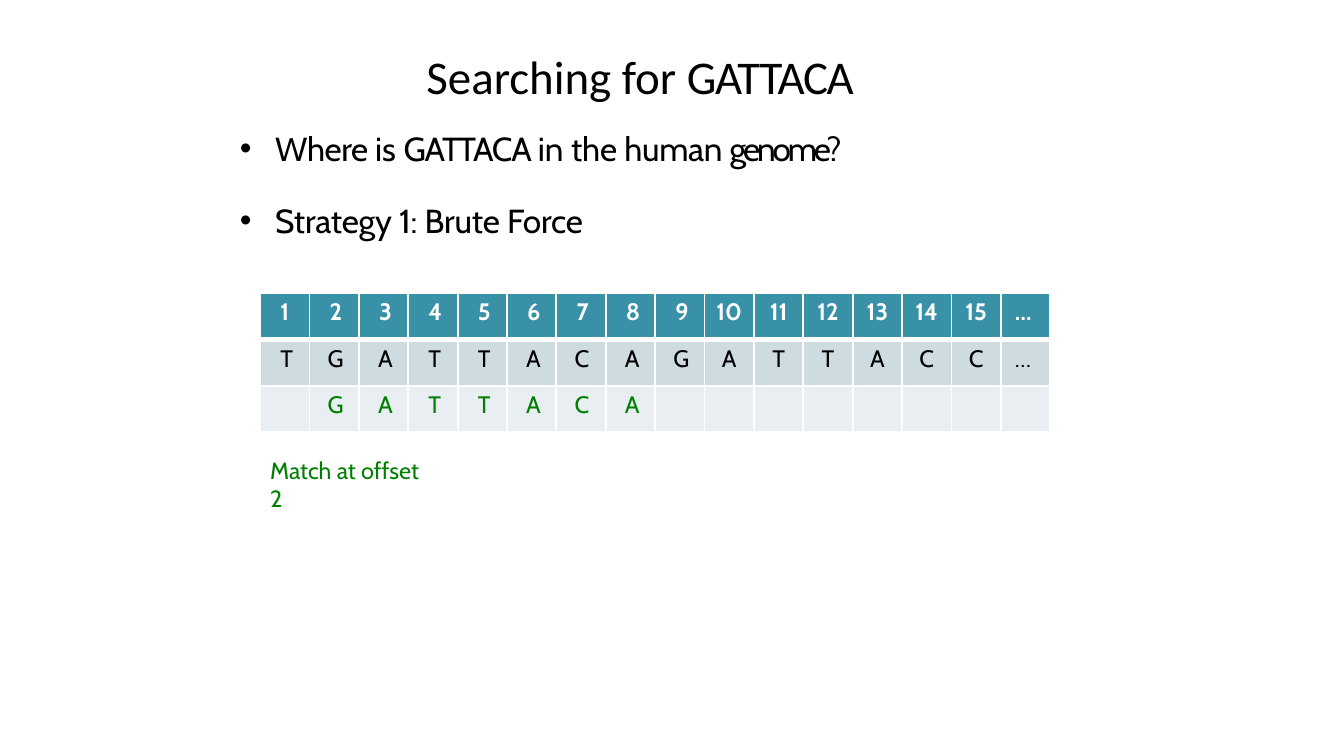
from dataclasses import dataclass

from lxml.etree import SubElement
from pptx import Presentation
from pptx.dml.color import RGBColor
from pptx.enum.text import MSO_ANCHOR as Anchor, MSO_AUTO_SIZE as AutoSize, PP_ALIGN as Align
from pptx.oxml.ns import qn
from pptx.util import Pt

PX = 9144  # one hundredth of an inch in EMU
COLORS = {
    "black": "000000",
    "white": "FFFFFF",
    "green": "008000",
    "header": "3891A7",
    "genome": "CEDCE1",
    "match": "E8EEF1",
}
BODY_FONT, TITLE_FONT = "Cabin", "Calibri"
COLUMNS, COLUMN_WIDTH, ROW_HEIGHT = 16, 49, 46
CENTERED_COLUMNS = range(9, 15)
LETTER_INDENTS = {"G": 18, "C": 18, "A": 19, "…": 14}
DIGIT_INDENT = 20
THIN, THICK = 1.5, 4.5


@dataclass(frozen=True)
class Run:
    text: str
    spacing: float = 0


@dataclass(frozen=True)
class TextBlock:
    left: int
    top: int
    width: int
    height: int
    paragraphs: tuple[tuple[Run, ...], ...]
    size: float
    font: str = BODY_FONT
    color: str = "black"
    anchor: Anchor = Anchor.TOP
    bulleted: bool = False
    gap: float = 0


@dataclass(frozen=True)
class TableRow:
    values: list[str]
    fill: str
    color: str
    inset: int = 4
    bold: bool = False
    top_border: float = THIN
    bottom_border: float = THIN


QUESTION = (
    Run("Where ", -0.3), Run("is "), Run("GATTACA ", -0.9), Run("in "),
    Run("the ", -0.1), Run("human ", -0.2), Run("genome?", -2.2),
)
STRATEGY = (Run("Strategy 1: Brute Force", -0.1),)
BULLETS = TextBlock(236, 126, 622, 114, (QUESTION, STRATEGY), 23.8, bulleted=True, gap=23.2)
RESULT = TextBlock(267, 451, 162, 29, ((Run("Match at offset 2"),),), 16.8, color="green")
TITLE = TextBlock(422, 46, 473, 58, ((Run("Searching for "), Run("GATTACA", -0.9)),), 33.5,
                  font=TITLE_FONT, anchor=Anchor.MIDDLE)

TABLE_ROWS = [
    TableRow([str(number) for number in range(1, COLUMNS)] + ["…"], "header", "white",
             bold=True, bottom_border=THICK),
    TableRow(list("TGATTACAGATTACC…"), "genome", "black", inset=5, top_border=THICK),
    TableRow([""] + list("GATTACA") + [""] * 8, "match", "green"),
]


def add_run(paragraph, text: str, *, size: float, font: str = BODY_FONT,
            color: str = "black", bold: bool = False, spacing: float = 0) -> None:
    run = paragraph.add_run()
    run.text = text
    run.font.size = Pt(size)
    run.font.name = font
    run.font.bold = bold
    run.font.color.rgb = RGBColor.from_string(COLORS[color])
    if spacing:
        run._r.get_or_add_rPr().set("spc", str(round(spacing * 100)))


def set_indent(paragraph, left: int, first_line: int = 0) -> None:
    properties = paragraph._p.get_or_add_pPr()
    properties.set("marL", str(left * PX))
    properties.set("indent", str(first_line * PX))


def add_bullet(paragraph) -> None:
    properties = paragraph._p.get_or_add_pPr()
    SubElement(properties, qn("a:buFont"), typeface="Arial")
    SubElement(properties, qn("a:buChar"), char="•")


def add_text_block(slide, block: TextBlock) -> None:
    box = slide.shapes.add_textbox(block.left * PX, block.top * PX,
                                   block.width * PX, block.height * PX)
    frame = box.text_frame
    frame.word_wrap = True
    frame.auto_size = AutoSize.SHAPE_TO_FIT_TEXT
    frame.vertical_anchor = block.anchor
    frame.margin_left = frame.margin_right = frame.margin_bottom = 0
    frame.margin_top = PX
    for index, runs in enumerate(block.paragraphs):
        paragraph = frame.add_paragraph() if index else frame.paragraphs[0]
        if block.bulleted:
            add_bullet(paragraph)
            set_indent(paragraph, 37, -35)
        else:
            set_indent(paragraph, 1)
        if index:
            paragraph.space_before = Pt(block.gap)
        for run in runs:
            add_run(paragraph, run.text, size=block.size, font=block.font,
                    color=block.color, spacing=run.spacing)


def add_borders(cell, top: float, bottom: float) -> None:
    properties = cell._tc.get_or_add_tcPr()
    for side, width in (("L", THIN), ("R", THIN), ("T", top), ("B", bottom)):
        line = SubElement(properties, qn(f"a:ln{side}"), w=str(Pt(width)))
        fill = SubElement(line, qn("a:solidFill"))
        SubElement(fill, qn("a:srgbClr"), val=COLORS["white"])


def fill_cell(cell, row: TableRow, column: int) -> None:
    add_borders(cell, row.top_border, row.bottom_border)
    cell.fill.solid()
    cell.fill.fore_color.rgb = RGBColor.from_string(COLORS[row.fill])
    cell.margin_left = cell.margin_right = cell.margin_bottom = 0
    cell.margin_top = row.inset * PX
    value = row.values[column]
    if not value:
        return
    paragraph = cell.text_frame.paragraphs[0]
    if column in CENTERED_COLUMNS:
        paragraph.alignment = Align.CENTER
    else:
        set_indent(paragraph, LETTER_INDENTS.get(value, DIGIT_INDENT))
    add_run(paragraph, value, size=17, color=row.color, bold=row.bold)


def add_genome_table(slide) -> None:
    frame = slide.shapes.add_table(len(TABLE_ROWS), COLUMNS, 258 * PX, 291 * PX,
                                   COLUMNS * COLUMN_WIDTH * PX,
                                   len(TABLE_ROWS) * ROW_HEIGHT * PX)
    table = frame.table
    table.horz_banding = False
    for column in table.columns:
        column.width = COLUMN_WIDTH * PX
    for row_index, row in enumerate(TABLE_ROWS):
        table.rows[row_index].height = ROW_HEIGHT * PX
        for column in range(COLUMNS):
            fill_cell(table.cell(row_index, column), row, column)


def main() -> None:
    presentation = Presentation()
    presentation.slide_width = 1333 * PX
    presentation.slide_height = 750 * PX
    slide = presentation.slides.add_slide(presentation.slide_layouts[6])
    add_text_block(slide, BULLETS)
    add_genome_table(slide)
    add_text_block(slide, RESULT)
    add_text_block(slide, TITLE)
    presentation.save("out.pptx")


if __name__ == "__main__":
    main()
